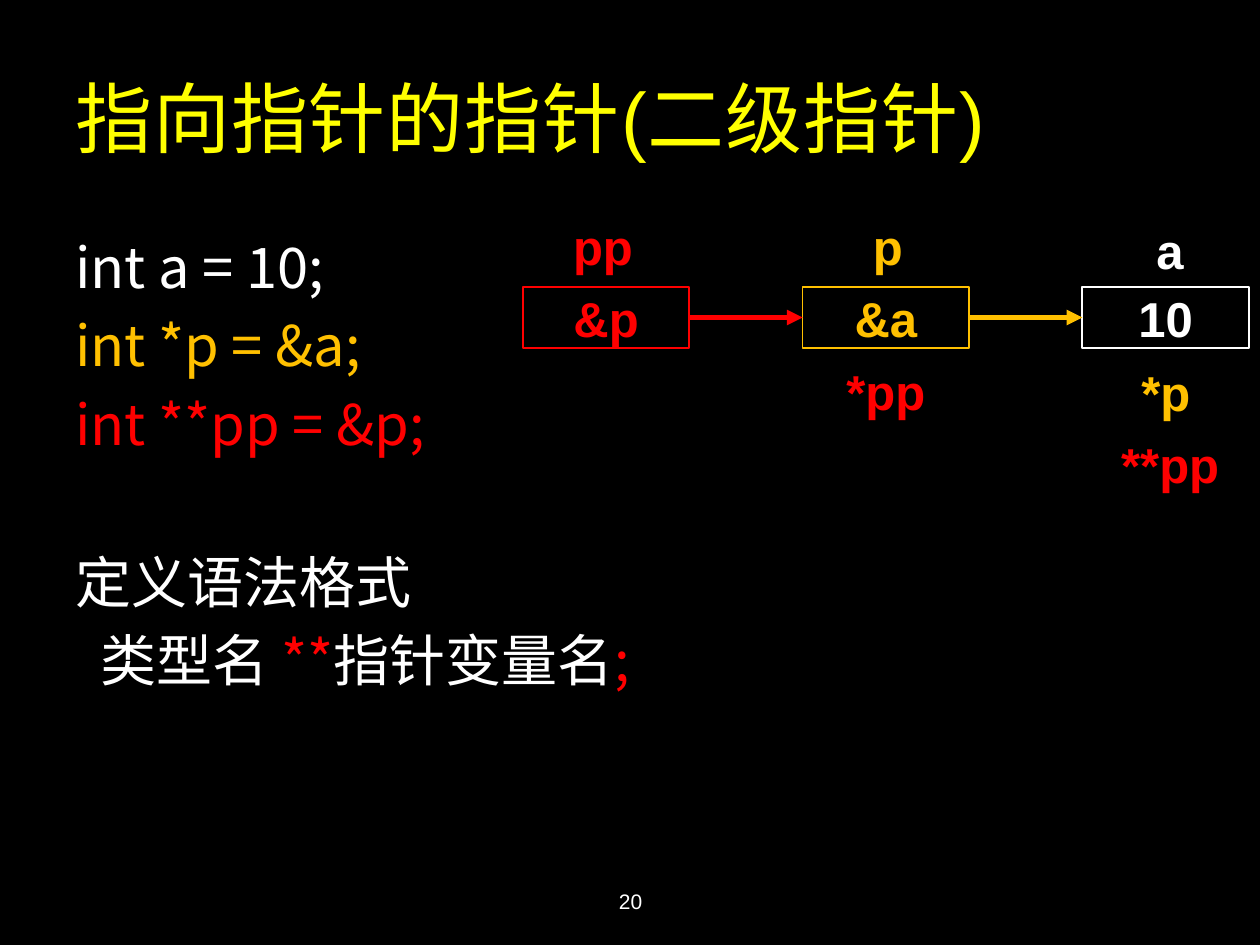
from dataclasses import dataclass
from lxml.etree import SubElement
from pptx import Presentation
from pptx.dml.color import RGBColor as RGB
from pptx.enum.shapes import MSO_CONNECTOR as Conn, MSO_SHAPE as Shape
from pptx.enum.text import MSO_ANCHOR as Anchor, MSO_AUTO_SIZE as Fit, PP_ALIGN as Align
from pptx.oxml.ns import qn
from pptx.util import Inches, Pt


@dataclass(frozen=True)
class Theme:
    back: str = "000000"
    white: str = "FFFFFF"
    yellow: str = "FFFF00"
    gold: str = "FFC000"
    red: str = "FF0000"
    latin: str = "Arial"
    cjk: str = "Noto Sans CJK SC"
    title: int = 44
    code: int = 32
    label: int = 28
    foot: int = 12
    pitch: int = 45


class Deck:
    def __init__(self, theme):
        self.theme = theme
        self.prs = Presentation()
        self.prs.slide_width, self.prs.slide_height = Inches(10), Inches(7.5)
        self.slide = self.prs.slides.add_slide(self.prs.slide_layouts[6])
        fill = self.slide.background.fill
        fill.solid()
        fill.fore_color.rgb = RGB.from_string(theme.back)

    def style(self, run, size, color, bold=False, font=None):
        face = run.font
        face.name = font or self.theme.latin
        face.size, face.bold = Pt(size), bold
        face.color.rgb = RGB.from_string(color)
        SubElement(face._element, qn("a:ea")).set("typeface", self.theme.cjk)

    def text(self, words, at, size, color, bold=False, align=Align.LEFT,
             anchor=Anchor.MIDDLE, wrap=True):
        box = self.slide.shapes.add_textbox(*map(Inches, at))
        frame = box.text_frame
        frame.text = words
        frame.word_wrap, frame.vertical_anchor = wrap, anchor
        para = frame.paragraphs[0]
        para.alignment = align
        self.style(para.runs[0], size, color, bold)
        return box

    def label(self, words, left, top, width, color):
        box = self.text(words, (left, top, width, 0.57), self.theme.label, color,
                        bold=True, anchor=Anchor.TOP, wrap=False)
        box.text_frame.auto_size = Fit.SHAPE_TO_FIT_TEXT

    def cell(self, words, left, color):
        """Draw one outlined memory cell with its value."""
        box = self.slide.shapes.add_shape(
            Shape.RECTANGLE, *map(Inches, (left, 2.28, 1.32, 0.48)))
        box.shadow.inherit = False
        box.fill.background()
        box.line.color.rgb = RGB.from_string(color)
        box.line.width = Pt(1)
        frame = box.text_frame
        frame.text = words
        frame.word_wrap, frame.vertical_anchor = False, Anchor.MIDDLE
        frame.paragraphs[0].alignment = Align.CENTER
        self.style(frame.paragraphs[0].runs[0], self.theme.label, color, True)
        return box

    def arrow(self, start, end, color):
        link = self.slide.shapes.add_connector(Conn.STRAIGHT, 0, 0, 0, 0)
        link.begin_connect(start, 3)
        link.end_connect(end, 1)
        link.line.color.rgb = RGB.from_string(color)
        link.line.width = Pt(3)
        SubElement(link.line._get_or_add_ln(), qn("a:tailEnd")).set("type", "triangle")
        SubElement(link._element.spPr, qn("a:effectLst"))

    def code(self, lines, at):
        """Write lines of (parts, space before, indent); a part is (words, color)."""
        theme = self.theme
        frame = self.slide.shapes.add_textbox(*map(Inches, at)).text_frame
        frame.word_wrap, frame.margin_top = True, 0
        for num, (parts, gap, indent) in enumerate(lines):
            para = frame.add_paragraph() if num else frame.paragraphs[0]
            para.line_spacing, para.space_before = Pt(theme.pitch), Pt(gap)
            para._p.get_or_add_pPr().set("marL", str(Inches(indent)))
            for words, color in parts:
                run = para.add_run()
                run.text = words
                self.style(run, theme.code, color, font=theme.cjk)


def main():
    theme = Theme()
    deck = Deck(theme)
    white, gold, red = theme.white, theme.gold, theme.red

    title = deck.text("指向指针的指针(二级指针)", (0.5, 0.3, 8.5, 1.25),
                      theme.title, theme.yellow)
    title.text_frame.paragraphs[0].runs[0].font._element.set("spc", "50")

    deck.code([
        ([("int a = 10;", white)], 0, 0),
        ([("int *p = &a;", gold)], 0, 0),
        ([("int **pp = &p;", red)], 0, 0),
        ([("定义语法格式", white)], theme.pitch, 0),
        ([("类型名 ", white), ("**", red), ("指针变量名", white), (";", red)], 0, 0.2),
    ], (0.5, 1.75, 9, 4.95))

    deck.text("20", (3.42, 6.95, 3.17, 0.4), theme.foot, white, align=Align.CENTER)

    chain = [("&p", red), ("&a", gold), ("10", white)]
    cells = [deck.cell(words, 4.15 + 2.22 * num, color)
             for num, (words, color) in enumerate(chain)]
    for start, end, (_, color) in zip(cells, cells[1:], chain):
        deck.arrow(start, end, color)

    for item in [
        ("pp", 4.45, 1.67, 0.68, red),
        ("p", 6.83, 1.67, 0.44, gold),
        ("a", 9.08, 1.7, 0.42, white),
        ("*pp", 6.62, 2.82, 0.84, red),
        ("*p", 8.96, 2.83, 0.59, gold),
        ("**pp", 8.8, 3.4, 0.99, red),
    ]:
        deck.label(*item)

    deck.prs.save("out.pptx")


if __name__ == "__main__":
    main()
